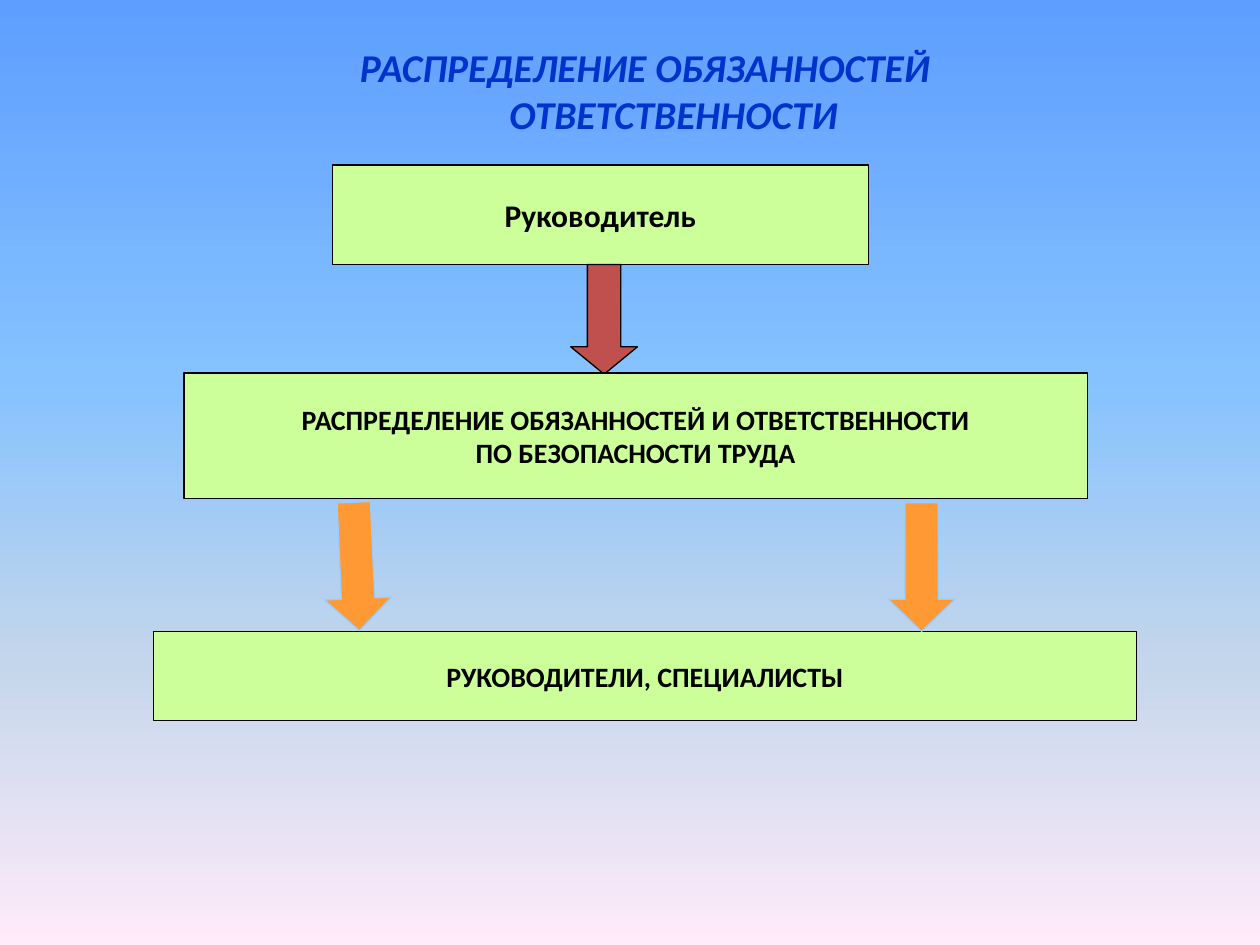
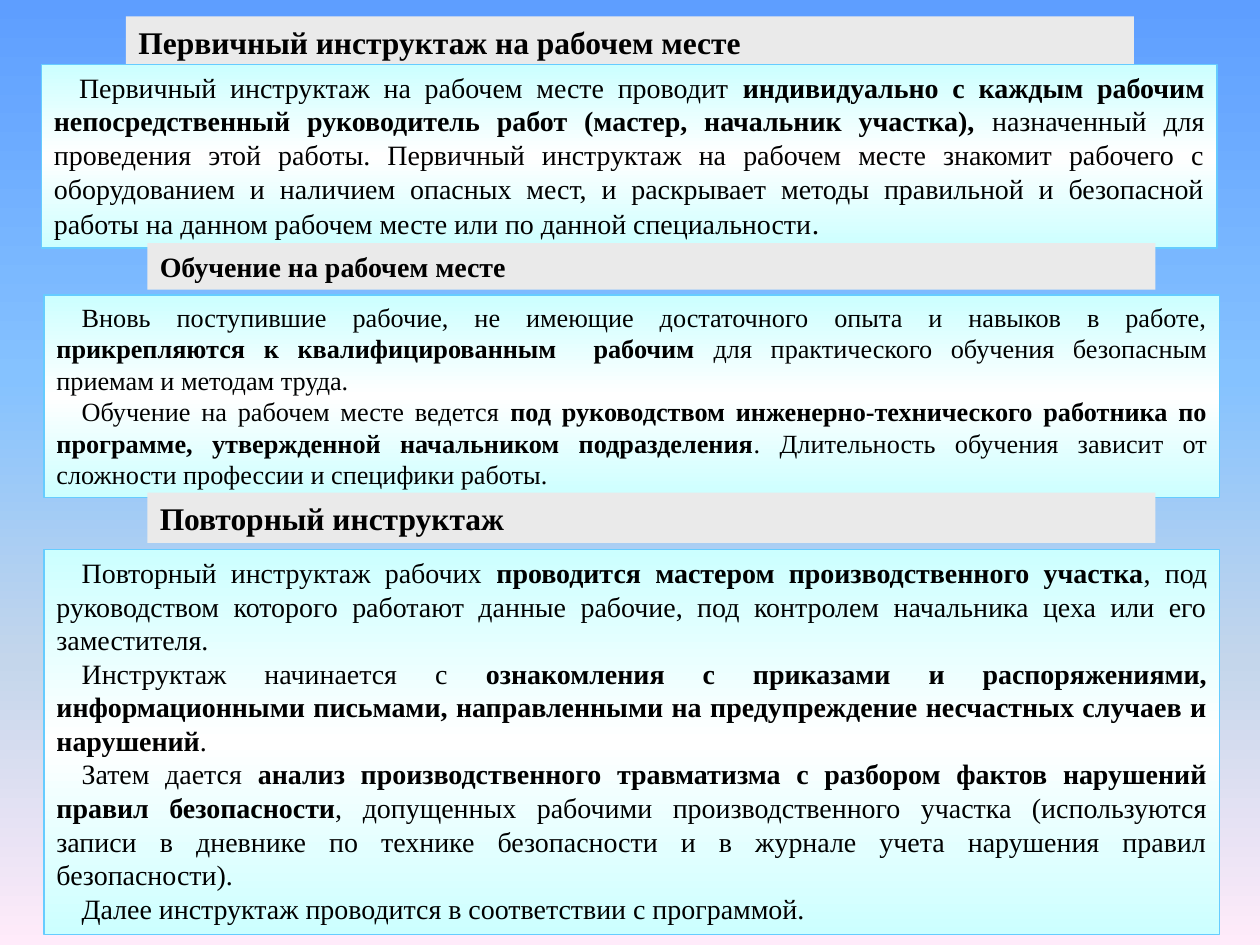
from copy import deepcopy

from pptx import Presentation
from pptx.dml.color import RGBColor
from pptx.enum.shapes import MSO_SHAPE
from pptx.enum.text import MSO_ANCHOR, MSO_AUTO_SIZE, PP_ALIGN
from pptx.util import Inches, Pt

RECT = MSO_SHAPE.RECTANGLE
PROCESS = MSO_SHAPE.FLOWCHART_PROCESS
DOWN = MSO_SHAPE.DOWN_ARROW
RIGHT = MSO_SHAPE.RIGHT_ARROW
MIDDLE, TOP = MSO_ANCHOR.MIDDLE, MSO_ANCHOR.TOP
CENTER, LEFT, JUSTIFY = PP_ALIGN.CENTER, PP_ALIGN.LEFT, PP_ALIGN.JUSTIFY

SANS, SERIF = "Calibri", "Times New Roman"
BLACK, BLUE, GREEN, ORANGE = "000000", "0033CC", "CCFF99", "FF9933"
RED, PALE_BLUE, GREY, CYAN = "C0504D", "99CCFF", "EAEAEA", "66CCFF"
SKY = [(0, "5E9EFF"), (40, "85C2FF"), (70, "C4D6EB"), (100, "FFEBFA")]
PANEL = [(0, "CCFFFF"), (50, "FFFFFF"), (100, "CCFFFF")]

rgb = RGBColor.from_string


def set_gradient(fill, element, stops):
    fill.gradient()
    fill.gradient_angle = 270
    gs_list = element.xpath(".//a:gsLst")[0]
    for _ in stops[2:]:
        gs_list.append(deepcopy(gs_list[0]))
    for gs, stop, (pos, color) in zip(gs_list, fill.gradient_stops, stops):
        gs.set("pos", str(pos * 1000))
        stop.color.rgb = rgb(color)


def add_run(p, text, font, size, color=BLACK, bold=True, italic=False):
    r = p.add_run()
    r.text = text
    r.font.name = font
    r.font.size = Pt(size)
    r.font.bold = bold
    r.font.italic = italic
    r.font.color.rgb = rgb(color)


prs = Presentation()
prs.slide_width = Inches(10)
prs.slide_height = Inches(7.5)
master = prs.slide_master
set_gradient(master.background.fill, master.element, SKY)
blank = prs.slide_layouts[6]

s = prs.slides.add_slide(blank)
title = s.shapes.add_textbox(Inches(1.06), Inches(0.28), Inches(8.19), Inches(0.87))
tf = title.text_frame
tf.word_wrap = True
tf.vertical_anchor = MIDDLE
p = tf.paragraphs[0]
p.alignment = CENTER
pPr = p._p.get_or_add_pPr()
pPr.set("marL", str(Inches(0.38)))
pPr.set("indent", str(Inches(-0.38)))
add_run(p, "РАСПРЕДЕЛЕНИЕ ОБЯЗАННОСТЕЙ ", SANS, 22.5, BLUE, italic=True)
p.add_line_break()
add_run(p, "ОТВЕТСТВЕННОСТИ", SANS, 22.5, BLUE, italic=True)

flow = [
    (PROCESS, (2.64, 1.31, 4.25, 0.79), GREEN, BLACK, 0, None, 18, ["Руководитель"]),
    (PROCESS, (1.22, 5.01, 7.8, 0.71), GREEN, BLACK, 0, None, 16,
     ["РУКОВОДИТЕЛИ, СПЕЦИАЛИСТЫ"]),
    (RIGHT, (2.32, 4.23, 1.02, 0.53), ORANGE, PALE_BLUE, 87.5, 0.48, 0, []),
    (DOWN, (7.05, 3.99, 0.53, 1.02), ORANGE, PALE_BLUE, 0, 0.48, 0, []),
    (DOWN, (4.53, 2.1, 0.53, 0.87), RED, BLACK, 0, 0.41, 0, []),
    (RECT, (1.46, 2.96, 7.17, 1), GREEN, BLACK, 0, None, 16,
     ["РАСПРЕДЕЛЕНИЕ ОБЯЗАННОСТЕЙ И ОТВЕТСТВЕННОСТИ", "ПО БЕЗОПАСНОСТИ ТРУДА"]),
]
for kind, at, fill, line, rotation, head, size, lines in flow:
    sp = s.shapes.add_shape(kind, *map(Inches, at))
    sp.shadow.inherit = False
    sp.rotation = rotation
    sp.fill.solid()
    sp.fill.fore_color.rgb = rgb(fill)
    sp.line.color.rgb = rgb(line)
    sp.line.width = Pt(0.75)
    if head:
        sp.adjustments[1] = head
    tf = sp.text_frame
    tf.word_wrap = False
    tf.vertical_anchor = MIDDLE
    for i, text in enumerate(lines):
        p = tf.add_paragraph() if i else tf.paragraphs[0]
        p.alignment = CENTER
        add_run(p, text, SANS, size)

s = prs.slides.add_slide(blank)
sections = [
    ((1, 0.13, 8, 0.4), 18, "Первичный инструктаж на рабочем месте",
     (0.33, 0.51, 9.33, 1.46), 16, [
        ["Первичный инструктаж на рабочем месте проводит ",
         "индивидуально с каждым рабочим непосредственный руководитель работ "
         "(мастер, начальник участка),",
         " назначенный для проведения этой работы. Первичный инструктаж на рабочем "
         "месте знакомит рабочего с оборудованием и наличием опасных мест, и "
         "раскрывает методы правильной и безопасной работы на данном рабочем месте "
         "или по данной специальности"]]),
    ((1.17, 1.93, 8, 0.37), 16, "Обучение на рабочем месте",
     (0.35, 2.34, 9.33, 1.61), 15, [
        ["Вновь поступившие рабочие, не имеющие достаточного опыта и навыков в работе, ",
         "прикрепляются к квалифицированным  рабочим",
         " для практического обучения безопасным приемам и методам труда. "],
        ["Обучение на рабочем месте ведется ",
         "под руководством инженерно-технического работника по программе, "
         "утвержденной начальником подразделения",
         ". Длительность обучения зависит от сложности профессии и специфики работы."]]),
    ((1.17, 3.91, 8, 0.4), 18, "Повторный инструктаж",
     (0.35, 4.36, 9.33, 3.06), 16, [
        ["Повторный инструктаж рабочих ",
         "проводится мастером производственного участка",
         ", под руководством которого работают данные рабочие, под контролем "
         "начальника цеха или его заместителя. "],
        ["Инструктаж начинается с ",
         "ознакомления с приказами и распоряжениями, информационными письмами, "
         "направленными на предупреждение несчастных случаев и нарушений",
         ". "],
        ["Затем дается ",
         "анализ производственного травматизма с разбором фактов нарушений правил "
         "безопасности",
         ", допущенных рабочими производственного участка (используются записи в "
         "дневнике по технике безопасности и в журнале учета нарушения правил "
         "безопасности). "],
        ["Далее инструктаж проводится в соответствии с программой."]]),
]
for n, (head_at, head_size, heading, body_at, body_size, body) in enumerate(sections):
    for at in (head_at, body_at):
        is_body = at == body_at
        sp = s.shapes.add_shape(RECT, *map(Inches, at))
        sp.shadow.inherit = False
        if is_body:
            set_gradient(sp.fill, sp.element, PANEL)
            sp.line.color.rgb = rgb(CYAN)
            sp.line.width = Pt(0.75)
        else:
            sp.fill.solid()
            sp.fill.fore_color.rgb = rgb(GREY)
            sp.line.fill.background()
        tf = sp.text_frame
        tf.word_wrap = True
        tf.auto_size = MSO_AUTO_SIZE.SHAPE_TO_FIT_TEXT
        tf.vertical_anchor = TOP
        for i, runs in enumerate(body if is_body else [[heading]]):
            p = tf.add_paragraph() if i else tf.paragraphs[0]
            p.alignment = JUSTIFY if is_body else LEFT
            if is_body:
                p._p.get_or_add_pPr().set("indent", str(Inches(0.2)))
            for j, text in enumerate(runs):
                size = body_size if is_body else head_size
                add_run(p, text, SERIF, size, bold=j == 1 or not is_body)
    if n == 0:
        add_run(p, ".", SERIF, 17, bold=False)

prs.save("out.pptx")
